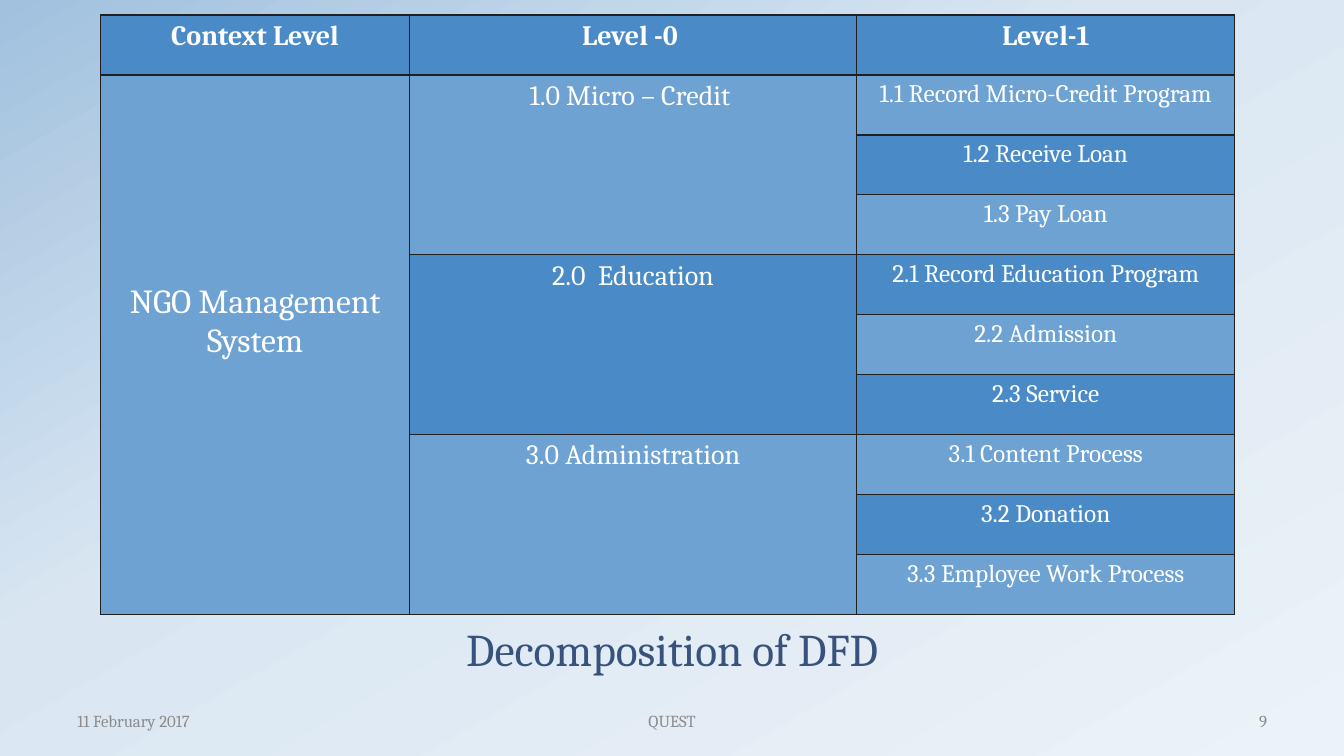
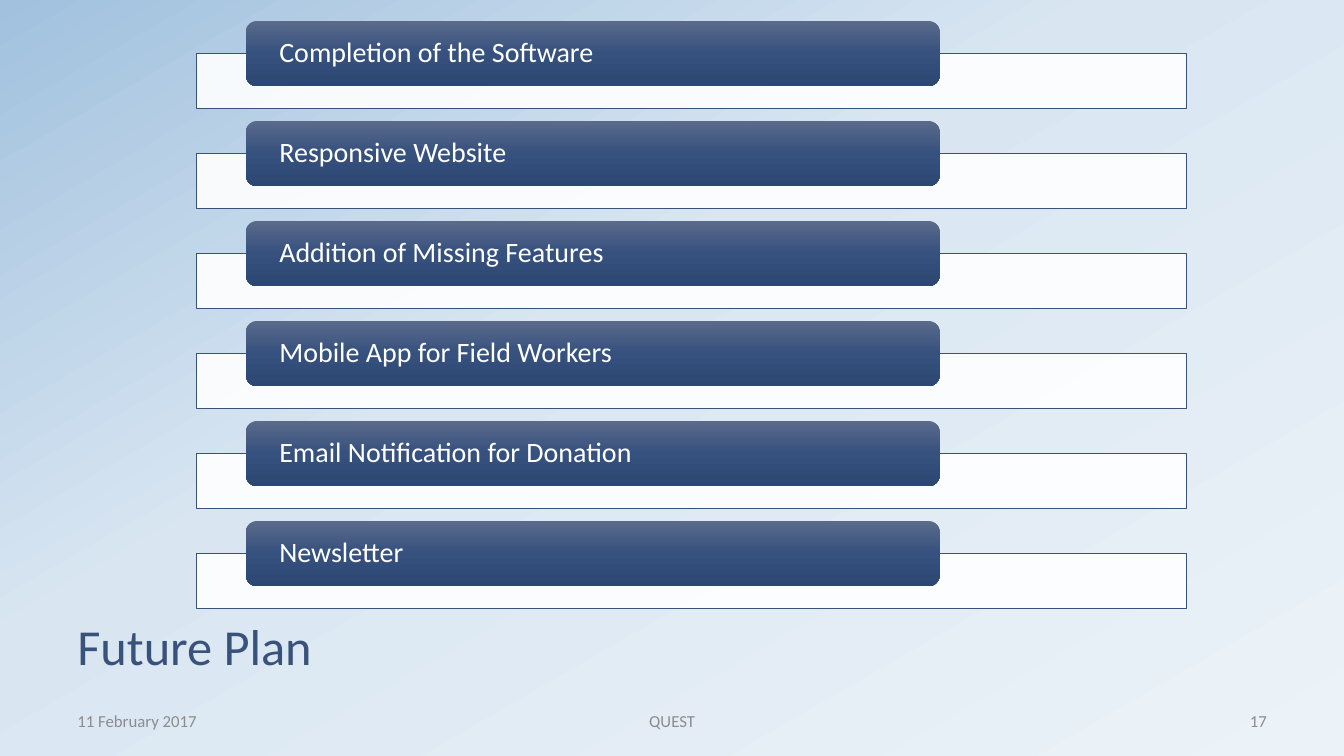
from dataclasses import dataclass

from lxml.etree import SubElement
from pptx import Presentation
from pptx.dml.color import RGBColor
from pptx.enum.shapes import MSO_SHAPE as Shape
from pptx.enum.text import MSO_ANCHOR as Anchor, PP_ALIGN as Align
from pptx.oxml import parse_xml
from pptx.oxml.ns import nsdecls, qn
from pptx.util import Cm, Pt

COLORS = {
    "title": "39527B",
    "footer": "8C8C8C",
    "white": "FFFFFF",
    "border": "202020",
    "cell_dark": "4A8BC7",
    "cell_light": "6EA2D2",
}
BACKGROUND_STOPS = [(0, "ECF3F8"), (58, "D9E6F2"), (100, "A1C1DE")]
BAR_STOPS = [(0, "5A6A8B"), (50, "36517E"), (100, "2D4773")]

DATE = "11 February 2017"
PROJECT = "QUEST"

HEADERS = ["Context Level", "Level -0 ", "Level-1"]
CONTEXT = "NGO Management System"
PROCESSES = {
    "1.0 Micro – Credit ": [
        "1.1 Record Micro-Credit Program", "1.2 Receive Loan", "1.3 Pay Loan"],
    "2.0  Education": [
        "2.1 Record Education Program", "2.2 Admission", "2.3 Service"],
    "3.0 Administration": [
        "3.1 Content Process", "3.2 Donation", "3.3 Employee Work Process"],
}
COLUMN_WIDTHS = [7.78, 11.27, 9.53]
ROW_HEIGHT = 1.51

PLANS = [
    "Completion of the Software",
    "Responsive Website",
    "Addition of Missing Features",
    "Mobile App for Field Workers",
    "Email Notification for Donation",
    "Newsletter",
]
PLAN_TOP, PLAN_PITCH = 0.53, 2.52


@dataclass(frozen=True)
class Box:
    """Position and size in centimetres."""
    left: float
    top: float
    width: float
    height: float

    def lengths(self) -> list:
        return [Cm(v) for v in (self.left, self.top, self.width, self.height)]


@dataclass(frozen=True)
class Style:
    font: str
    size: float
    color: str
    align: Align = Align.LEFT
    bold: bool = False
    spacing: float = 1.0


@dataclass(frozen=True)
class Frame:
    """What differs between the title and footers of two slides."""
    title: str
    number: str
    font: str
    title_size: float
    title_align: Align


TITLE_BOX = Box(1.7, 14.17, 30.48, 2.97)
FOOTER_BOXES = [
    (Box(1.7, 17.65, 7.9, 1.02), Align.LEFT),
    (Box(11.58, 17.65, 10.72, 1.02), Align.CENTER),
    (Box(24.28, 17.65, 7.9, 1.02), Align.RIGHT),
]


def rgb(name: str) -> RGBColor:
    return RGBColor.from_string(COLORS[name])


def apply_format(target, values: dict) -> None:
    for name, value in values.items():
        setattr(target, name, value)


def write(tf, text: str, style: Style) -> None:
    p = tf.paragraphs[0]
    apply_format(p, {"alignment": style.align, "line_spacing": style.spacing})
    r = p.add_run()
    r.text = text
    apply_format(r.font, {
        "name": style.font, "size": Pt(style.size), "bold": style.bold})
    r.font.color.rgb = rgb(style.color)


def add_text(s, box: Box, text: str, style: Style, anchor: Anchor) -> None:
    tf = s.shapes.add_textbox(*box.lengths()).text_frame
    apply_format(tf, {"word_wrap": True, "vertical_anchor": anchor})
    write(tf, text, style)


def set_gradient(fill, owner, stops: list, angle: int) -> None:
    """Give the fill inside owner a linear gradient, angle clockwise."""
    fill.solid()
    solid = next(owner.iter(qn("a:solidFill")))
    marks = "".join(
        f'<a:gs pos="{pos * 1000}"><a:srgbClr val="{color}"/></a:gs>'
        for pos, color in stops)
    gradient = parse_xml(
        f'<a:gradFill {nsdecls("a")} rotWithShape="1"><a:gsLst>{marks}</a:gsLst>'
        f'<a:lin ang="{angle * 60000}" scaled="0"/></a:gradFill>')
    solid.getparent().replace(solid, gradient)


def set_borders(cell) -> None:
    tc_pr = cell._tc.get_or_add_tcPr()
    for i, side in enumerate(("lnL", "lnR", "lnT", "lnB")):
        tc_pr.insert(i, parse_xml(
            f'<a:{side} {nsdecls("a")} w="12700"><a:solidFill>'
            f'<a:srgbClr val="{COLORS["border"]}"/></a:solidFill></a:{side}>'))


def add_shape(s, kind: Shape, box: Box):
    sp = s.shapes.add_shape(kind, *box.lengths())
    sp.shadow.inherit = False
    return sp


def add_framed_slide(prs, frame: Frame):
    """Add a slide with its title and footers."""
    s = prs.slides.add_slide(prs.slide_layouts[6])
    title = Style(frame.font, frame.title_size, "title", frame.title_align, spacing=0.8)
    add_text(s, TITLE_BOX, frame.title, title, Anchor.BOTTOM)
    for (box, align), text in zip(FOOTER_BOXES, (DATE, PROJECT, frame.number)):
        add_text(s, box, text, Style(frame.font, 12, "footer", align), Anchor.MIDDLE)
    return s


def add_process_table(s, font: str) -> None:
    rows = 1 + sum(len(steps) for steps in PROCESSES.values())
    box = Box(2.54, 0.38, sum(COLUMN_WIDTHS), rows * ROW_HEIGHT)
    table = s.shapes.add_table(rows, len(HEADERS), *box.lengths()).table
    for column, width in zip(table.columns, COLUMN_WIDTHS):
        column.width = Cm(width)
    for i, row in enumerate(table.rows):
        row.height = Cm(ROW_HEIGHT)
        for cell in row.cells:
            cell.fill.solid()
            cell.fill.fore_color.rgb = rgb("cell_light" if i % 2 else "cell_dark")
            set_borders(cell)

    def put(row: int, col: int, text: str, size: float, bold: bool = False) -> None:
        style = Style(font, size, "white", Align.CENTER, bold)
        write(table.cell(row, col).text_frame, text, style)

    for col, header in enumerate(HEADERS):
        put(0, col, header, 20, bold=True)
    context = table.cell(1, 0)
    context.merge(table.cell(rows - 1, 0))
    apply_format(context, {
        "vertical_anchor": Anchor.MIDDLE, "margin_bottom": Cm(1.28)})
    put(1, 0, CONTEXT, 24)

    row = 1
    for process, steps in PROCESSES.items():
        table.cell(row, 1).merge(table.cell(row + len(steps) - 1, 1))
        put(row, 1, process, 20)
        for i, step in enumerate(steps):
            put(row + i, 2, step, 18)
        row += len(steps)


def add_plan(s, top: float, text: str, font: str) -> None:
    """Draw a pale strip with a labelled bar over it."""
    strip = add_shape(s, Shape.RECTANGLE, Box(4.95, top + 0.81, 24.94, 1.4))
    strip.fill.solid()
    strip.fill.fore_color.rgb = rgb("white")
    color = strip._element.spPr.find(qn("a:solidFill"))[0]
    SubElement(color, qn("a:alpha"), val="90000")
    strip.line.color.rgb = rgb("title")
    strip.line.width = Pt(0.5)

    bar = add_shape(s, Shape.ROUNDED_RECTANGLE, Box(6.2, top, 17.48, 1.64))
    set_gradient(bar.fill, bar._element.spPr, BAR_STOPS, 90)
    bar.line.fill.background()
    tf = bar.text_frame
    apply_format(tf, {
        "word_wrap": True, "vertical_anchor": Anchor.MIDDLE,
        "margin_left": Cm(0.76), "margin_right": Cm(0.76),
        "margin_top": 0, "margin_bottom": 0})
    write(tf, text, Style(font, 20, "white", spacing=0.9))


def main() -> None:
    prs = Presentation()
    apply_format(prs, {"slide_width": Cm(33.87), "slide_height": Cm(19.05)})
    master = prs.slide_master
    set_gradient(master.background.fill, master._element.cSld.bg, BACKGROUND_STOPS, 240)

    decomposition = Frame("Decomposition of DFD", "9", "Cambria", 32.4, Align.CENTER)
    s = add_framed_slide(prs, decomposition)
    add_process_table(s, decomposition.font)

    future = Frame("Future Plan", "17", "Calibri", 36, Align.LEFT)
    s = add_framed_slide(prs, future)
    for i, plan in enumerate(PLANS):
        add_plan(s, PLAN_TOP + i * PLAN_PITCH, plan, future.font)

    prs.save("out.pptx")


if __name__ == "__main__":
    main()
